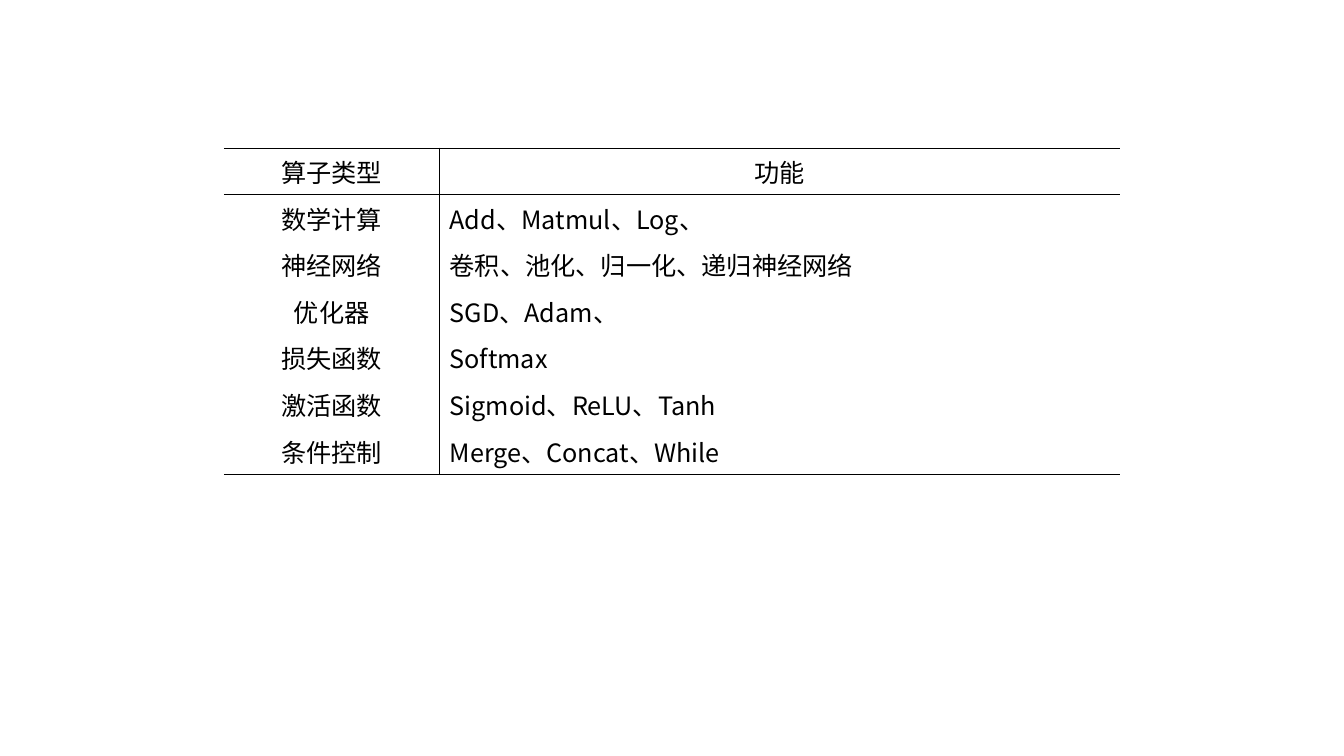
"""Build a slide with a table of operator types and their functions."""
from lxml.etree import SubElement
from pptx import Presentation
from pptx.dml.color import RGBColor
from pptx.enum.text import MSO_ANCHOR, PP_ALIGN
from pptx.oxml import parse_xml
from pptx.oxml.ns import nsdecls, qn
from pptx.util import Inches, Pt

BLACK = RGBColor(0x00, 0x00, 0x00)
FONT = "Noto Sans CJK SC"
COLUMN_WIDTHS = [2.14, 6.75]
ROW_HEIGHT = 0.46
OPERATORS = [
    ("算子类型", "功能"),
    ("数学计算", "Add、Matmul、Log、"),
    ("神经网络", "卷积、池化、归一化、递归神经网络"),
    ("优化器", "SGD、Adam、"),
    ("损失函数", "Softmax"),
    ("激活函数", "Sigmoid、ReLU、Tanh"),
    ("条件控制", "Merge、Concat、While"),
]


def set_borders(cell, visible_sides):
    for position, side in enumerate("LRTB"):
        if side in visible_sides:
            fill = f'<a:solidFill><a:srgbClr val="{BLACK}"/></a:solidFill>'
        else:
            fill = "<a:noFill/>"
        border = parse_xml(f'<a:ln{side} {nsdecls("a")} w="{Pt(1)}">{fill}</a:ln{side}>')
        cell._tc.get_or_add_tcPr().insert(position, border)


presentation = Presentation()
presentation.slide_width = Inches(13.33)
presentation.slide_height = Inches(7.5)
slide = presentation.slides.add_slide(presentation.slide_layouts[6])

last_row = len(OPERATORS) - 1
table = slide.shapes.add_table(
    len(OPERATORS), len(COLUMN_WIDTHS), Inches(2.22), Inches(1.47),
    Inches(sum(COLUMN_WIDTHS)), Inches(ROW_HEIGHT * len(OPERATORS)),
).table
table.first_row = False
table.horz_banding = False
for column, width in zip(table.columns, COLUMN_WIDTHS):
    column.width = Inches(width)

for row_index, texts in enumerate(OPERATORS):
    table.rows[row_index].height = Inches(ROW_HEIGHT)
    for column_index, text in enumerate(texts):
        cell = table.cell(row_index, column_index)
        cell.text = text
        cell.vertical_anchor = MSO_ANCHOR.MIDDLE
        cell.fill.background()

        sides = "R" if column_index == 0 else "L"
        if row_index in (0, 1):
            sides += "T"
        if row_index in (0, last_row):
            sides += "B"
        set_borders(cell, sides)

        paragraph = cell.text_frame.paragraphs[0]
        centred = row_index == 0 or column_index == 0
        paragraph.alignment = PP_ALIGN.CENTER if centred else PP_ALIGN.LEFT
        paragraph.font.size = Pt(18)
        paragraph.font.bold = False
        paragraph.font.name = FONT
        paragraph.font.color.rgb = BLACK
        font_properties = paragraph._p.find(".//" + qn("a:defRPr"))
        SubElement(font_properties, qn("a:ea")).set("typeface", FONT)

presentation.save("out.pptx")
